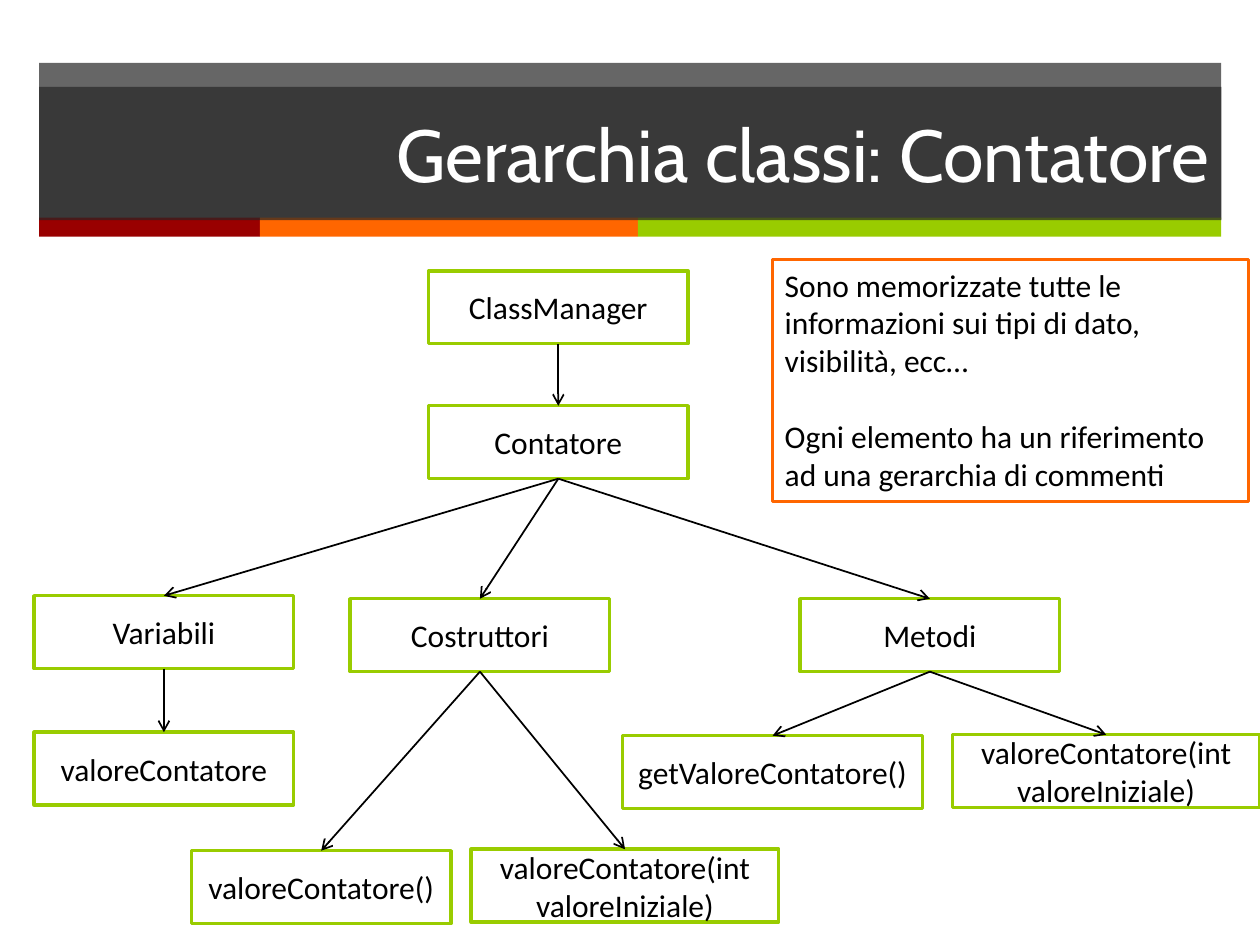
import dataclasses
import itertools

import pptx
import pptx.dml.color
import pptx.enum.shapes
import pptx.enum.text
import pptx.oxml
import pptx.oxml.ns
import pptx.util
from pptx.util import Cm

ALIGN = pptx.enum.text.PP_ALIGN
ANCHOR = pptx.enum.text.MSO_ANCHOR
BOTTOM_SIDE, TOP_SIDE = 2, 0


@dataclasses.dataclass(frozen=True)
class Theme:
    title_font: str = "Cabin"
    body_font: str = "Calibri"
    title_size: int = 42
    body_size: int = 18
    paragraph_gap: int = 22
    box_line: int = 2
    arrow_line: int = 1
    dark: str = "262626"
    red: str = "990000"
    orange: str = "FF6600"
    green: str = "99CC00"
    white: str = "FFFFFF"
    black: str = "000000"
    band_opacity: int = 70


@dataclasses.dataclass(frozen=True)
class Area:
    """A rectangle in centimetres."""
    left: float
    top: float
    width: float = 5.23
    height: float = 1.47

    def lengths(self) -> list:
        return [Cm(value) for value in dataclasses.astuple(self)]


@dataclasses.dataclass(frozen=True)
class Node:
    text: str
    area: Area
    parent: str = ""


THEME = Theme()
BAND = Area(0.79, 1.27, 23.83, 3.15)
TITLE = Area(0.79, 1.75, 23.83, 2.69)
NOTE = Area(15.57, 5.23, 9.6, 4.88)
STRIP_TOP, STRIP_HEIGHT = 4.39, 0.38
STRIPS = {THEME.red: 4.45, THEME.orange: 7.62, THEME.green: 11.76}

NODES = {
    "manager": Node("ClassManager", Area(8.64, 5.46)),
    "counter": Node("Contatore", Area(8.64, 8.18), "manager"),
    "variables": Node("Variabili", Area(0.69, 12.01), "counter"),
    "constructors": Node("Costruttori", Area(7.06, 12.07), "counter"),
    "methods": Node("Metodi", Area(16.13, 12.07), "counter"),
    "value": Node("valoreContatore", Area(0.69, 14.76), "variables"),
    "default": Node("valoreContatore()", Area(3.86, 17.15), "constructors"),
    "initial": Node("valoreContatore(int valoreIniziale)",
                    Area(9.5, 17.12, 6.2), "constructors"),
    "getter": Node("getValoreContatore()", Area(12.55, 14.83, 6.05), "methods"),
    "setter": Node("valoreContatore(int valoreIniziale)",
                   Area(19.2, 14.81, 6.2), "methods"),
}
NOTE_TEXTS = [
    "Sono memorizzate tutte le informazioni sui tipi di dato, visibilità, ecc…",
    "Ogni elemento ha un riferimento ad una gerarchia di commenti",
]


def rgb(color: str) -> pptx.dml.color.RGBColor:
    return pptx.dml.color.RGBColor.from_string(color)


def fill_shape(shape, color: str, opacity: int = 100) -> None:
    shape.fill.solid()
    shape.fill.fore_color.rgb = rgb(color)
    if opacity < 100:
        color_tag = shape.element.spPr.find(".//" + pptx.oxml.ns.qn("a:srgbClr"))
        color_tag.append(pptx.oxml.parse_xml(
            f'<a:alpha {pptx.oxml.ns.nsdecls("a")} val="{opacity * 1000}"/>'))


def write_text(shape, texts: list[str], font: str, size: int, color: str,
               align: ALIGN, anchor: ANCHOR) -> None:
    frame = shape.text_frame
    frame.text = "\n".join(texts)
    frame.word_wrap = True
    frame.vertical_anchor = anchor
    font_format = {"name": font, "size": pptx.util.Pt(size), "bold": False}
    for para in frame.paragraphs:
        para.alignment = align
        for span in para.runs:
            for attribute, value in font_format.items():
                setattr(span.font, attribute, value)
            span.font.color.rgb = rgb(color)


def draw_rectangle(page, area: Area, fill: str, line: str = "", opacity: int = 100):
    box = page.shapes.add_shape(
        pptx.enum.shapes.MSO_SHAPE.RECTANGLE, *area.lengths())
    box.shadow.inherit = False
    fill_shape(box, fill, opacity)
    if line:
        box.line.color.rgb = rgb(line)
        box.line.width = pptx.util.Pt(THEME.box_line)
    else:
        box.line.fill.background()
    return box


def draw_header(page) -> None:
    draw_rectangle(page, BAND, THEME.dark, opacity=THEME.band_opacity)
    offsets = itertools.accumulate(STRIPS.values(), initial=BAND.left)
    for left, (color, width) in zip(offsets, STRIPS.items()):
        draw_rectangle(page, Area(left, STRIP_TOP, width, STRIP_HEIGHT), color)
    title = page.shapes.title
    title.element.getparent().append(title.element)  # in front of the band
    for side, length in zip(("left", "top", "width", "height"), TITLE.lengths()):
        setattr(title, side, length)
    fill_shape(title, THEME.dark, THEME.band_opacity)
    write_text(title, ["Gerarchia classi: Contatore"], THEME.title_font,
               THEME.title_size, THEME.white, ALIGN.RIGHT, ANCHOR.MIDDLE)


def draw_node(page, node: Node):
    box = draw_rectangle(page, node.area, THEME.white, THEME.green)
    write_text(box, [node.text], THEME.body_font, THEME.body_size,
               THEME.black, ALIGN.CENTER, ANCHOR.MIDDLE)
    return box


def draw_arrow(page, parent, child) -> None:
    arrow = page.shapes.add_connector(
        pptx.enum.shapes.MSO_CONNECTOR.STRAIGHT, 0, 0, 0, 0)
    arrow.begin_connect(parent, BOTTOM_SIDE)
    arrow.end_connect(child, TOP_SIDE)
    arrow.line.color.rgb = rgb(THEME.black)
    arrow.line.width = pptx.util.Pt(THEME.arrow_line)
    namespace = pptx.oxml.ns.nsdecls("a")
    arrow.line._get_or_add_ln().append(
        pptx.oxml.parse_xml(f'<a:tailEnd {namespace} type="arrow"/>'))
    arrow.element.spPr.append(pptx.oxml.parse_xml(f"<a:effectLst {namespace}/>"))


def draw_note(page) -> None:
    note = draw_rectangle(page, NOTE, THEME.white, THEME.orange)
    write_text(note, NOTE_TEXTS, THEME.body_font, THEME.body_size,
               THEME.black, ALIGN.LEFT, ANCHOR.TOP)
    note.text_frame.paragraphs[1].space_before = pptx.util.Pt(THEME.paragraph_gap)


def main() -> None:
    deck = pptx.Presentation()
    deck.slide_width, deck.slide_height = Cm(25.4), Cm(19.05)
    page = deck.slides.add_slide(deck.slide_layouts.get_by_name("Title Only"))
    draw_header(page)
    boxes = {}
    for key, node in NODES.items():
        boxes[key] = draw_node(page, node)
        if node.parent:
            draw_arrow(page, boxes[node.parent], boxes[key])
    draw_note(page)
    deck.save("out.pptx")


if __name__ == "__main__":
    main()
